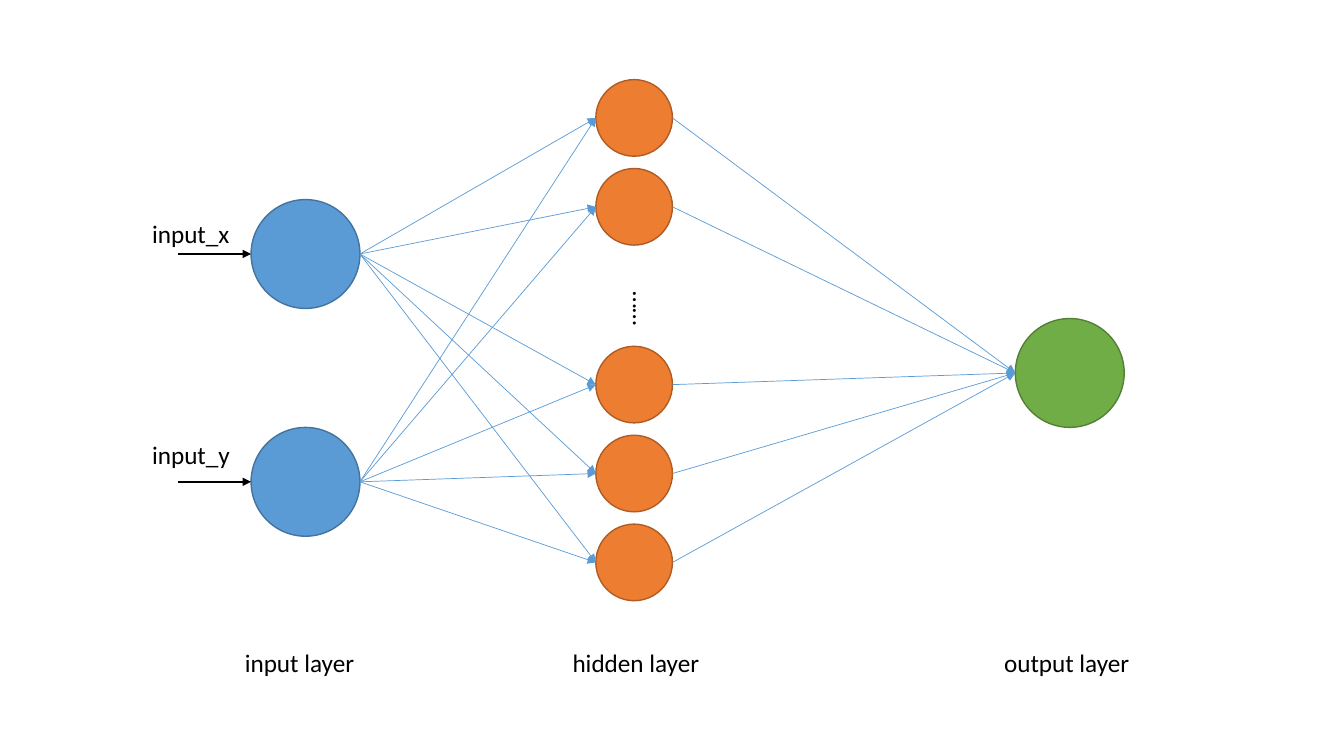
from lxml.etree import SubElement
from pptx import Presentation
from pptx.dml.color import RGBColor
from pptx.enum.shapes import MSO_CONNECTOR, MSO_SHAPE
from pptx.enum.text import MSO_AUTO_SIZE
from pptx.oxml.ns import qn
from pptx.util import Inches, Pt

COLORS = {
    "input": "5B9BD5", "input_line": "43739E",
    "hidden": "ED7D31", "hidden_line": "AF5C24",
    "output": "70AD47", "output_line": "538035",
    "link": "5B9BD5", "text": "000000",
}
INPUT_X, HIDDEN_X, OUTPUT_X = 2.49, 5.91, 10.07
BIG, SMALL = 1.08, 0.76
HIDDEN_TOP, HIDDEN_BOTTOM = 0.79, 5.2
HIDDEN_PITCH = (HIDDEN_BOTTOM - HIDDEN_TOP) / 5
HIDDEN_ROWS = (0, 1, 3, 4, 5)
INPUTS = (("input_x", 1.98, 2.12), ("input_y", 4.24, 4.31))
LAYERS = (("input layer", 2.33, 1.4), ("hidden layer", 5.58, 1.51),
          ("output layer", 9.86, 1.5))


def rgb(name):
    """Return the named palette colour."""
    return RGBColor.from_string(COLORS[name])


def add_node(s, layer, x, y, size):
    """Draw a neuron and return its left and right link points."""
    sp = s.shapes.add_shape(MSO_SHAPE.OVAL, Inches(x), Inches(y),
                            Inches(size), Inches(size))
    sp.shadow.inherit = False
    sp.fill.solid()
    sp.fill.fore_color.rgb = rgb(layer)
    sp.line.color.rgb = rgb(layer + "_line")
    sp.line.width = Pt(1)
    middle = y + size / 2
    return (x, middle), (x + size, middle)


def add_arrow(s, start, end, color, width):
    """Draw a straight arrow between two points."""
    cx = s.shapes.add_connector(MSO_CONNECTOR.STRAIGHT,
                                *map(Inches, (*start, *end)))
    cx.line.color.rgb = rgb(color)
    cx.line.width = Pt(width)
    SubElement(cx.line._get_or_add_ln(), qn("a:tailEnd"), type="triangle")
    SubElement(cx._element.spPr, qn("a:effectLst"))


def add_label(s, text, x, y, w, h=0.4, vertical=False):
    """Add a text label, optionally running downwards."""
    tf = s.shapes.add_textbox(*map(Inches, (x, y, w, h))).text_frame
    tf.word_wrap = True
    tf.auto_size = MSO_AUTO_SIZE.SHAPE_TO_FIT_TEXT
    if vertical:
        tf._txBody.bodyPr.set("vert", "eaVert")
    p = tf.paragraphs[0]
    p.text = text
    p.font.name = "Calibri"
    p.font.size = Pt(18)
    p.font.color.rgb = rgb("text")


def main():
    """Build the neural network slide."""
    prs = Presentation()
    prs.slide_width, prs.slide_height = Inches(13.33), Inches(7.5)
    s = prs.slides.add_slide(prs.slide_layouts[6])

    sources = []
    for text, y, label_y in INPUTS:
        left, right = add_node(s, "input", INPUT_X, y, BIG)
        add_arrow(s, (1.77, left[1]), left, "text", 1.5)
        add_label(s, text, 1.41, label_y, 0.99)
        sources.append(right)
    for text, x, w in LAYERS:
        add_label(s, text, x, 6.37, w)

    hidden = [add_node(s, "hidden", HIDDEN_X, HIDDEN_TOP + row * HIDDEN_PITCH, SMALL)
              for row in HIDDEN_ROWS]
    target, _ = add_node(s, "output", OUTPUT_X, 3.16, BIG)
    for left, right in hidden:
        for source in sources:
            add_arrow(s, source, left, "link", 0.5)
        add_arrow(s, right, target, "link", 0.5)
    add_label(s, "……", 6.08, 2.79, 0.5, 0.66, vertical=True)

    prs.save("out.pptx")


main()
